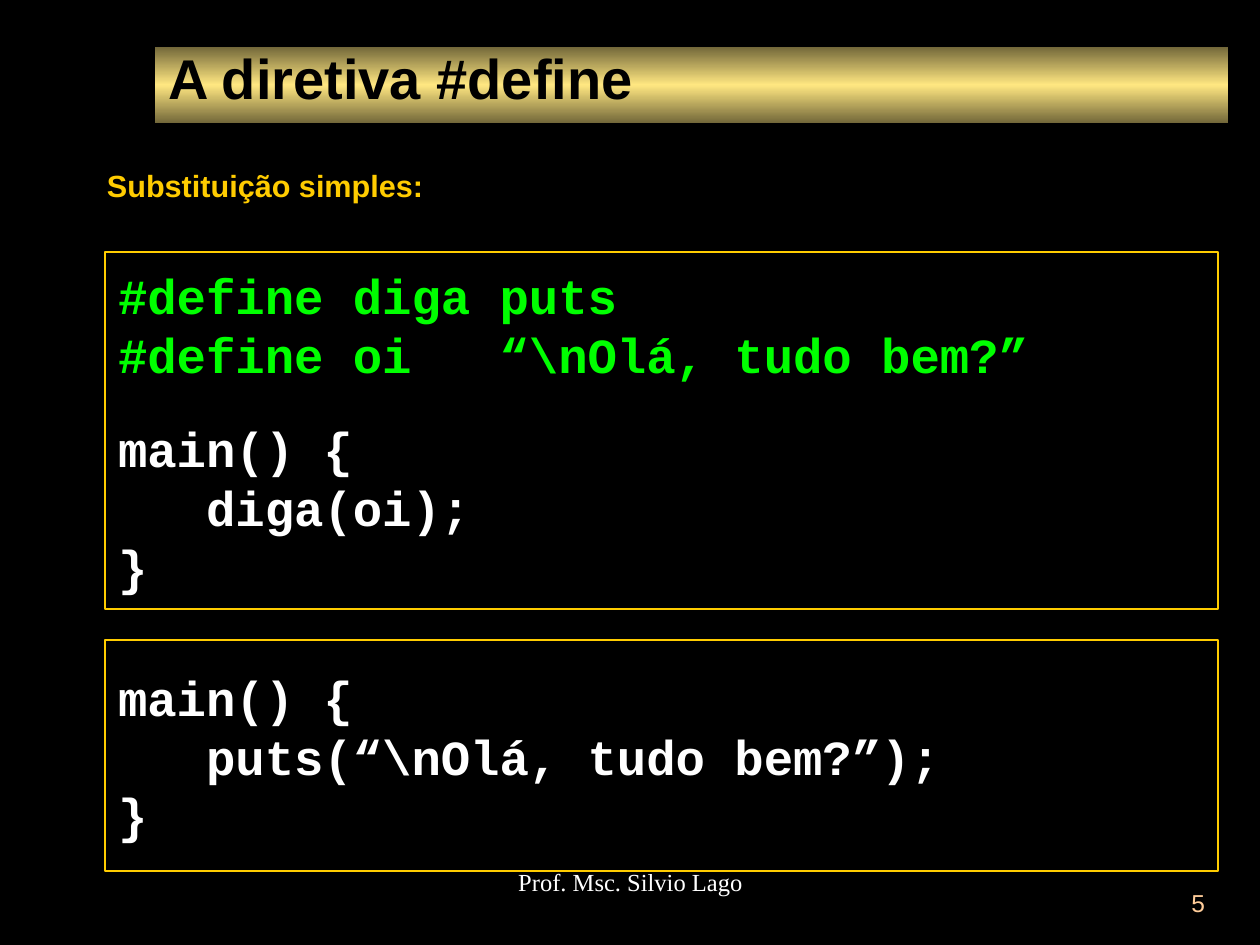
from copy import deepcopy

from pptx import Presentation
from pptx.dml.color import RGBColor
from pptx.enum.shapes import MSO_SHAPE
from pptx.enum.text import MSO_ANCHOR, MSO_AUTO_SIZE, PP_ALIGN
from pptx.util import Emu, Pt

RECTANGLE = MSO_SHAPE.RECTANGLE
TOP, MIDDLE = MSO_ANCHOR.TOP, MSO_ANCHOR.MIDDLE
NO_AUTOFIT = MSO_AUTO_SIZE.NONE
LEFT, CENTER, RIGHT = PP_ALIGN.LEFT, PP_ALIGN.CENTER, PP_ALIGN.RIGHT

BLACK = RGBColor(0x00, 0x00, 0x00)
WHITE = RGBColor(0xFF, 0xFF, 0xFF)
GREEN = RGBColor(0x00, 0xFF, 0x00)
AMBER = RGBColor(0xFF, 0xCC, 0x00)
PEACH = RGBColor(0xFF, 0xCC, 0x99)
BRONZE = RGBColor(0x73, 0x68, 0x3A)
GOLD = RGBColor(0xFF, 0xE7, 0x81)

PX_PER_INCH = 126


def px(length):
    """Turn whole pixels into EMU."""
    return Emu(round(length * 914400 / PX_PER_INCH))


def set_frame(frame, anchor, insets=(13, 6, 13, 6)):
    """Prepare a text frame with wrapping, an anchor and insets in px."""
    frame.word_wrap = True
    frame.auto_size = NO_AUTOFIT
    frame.vertical_anchor = anchor
    (frame.margin_left, frame.margin_top,
     frame.margin_right, frame.margin_bottom) = map(px, insets)


def write(paragraph, text, size, font, color, bold=False, align=LEFT, spacing=1.0):
    """Write one formatted run into a paragraph."""
    paragraph.alignment = align
    paragraph.line_spacing = spacing
    run = paragraph.add_run()
    run.text = text
    run.font.size = Pt(size)
    run.font.name = font
    run.font.bold = bold
    run.font.color.rgb = color


def add_title(slide, box, text):
    """Place the title on a bar that shines along its middle."""
    title = slide.shapes.title
    title.left, title.top, title.width, title.height = map(px, box)
    title.fill.gradient()
    title.fill.gradient_angle = 90
    edge, shine = title.fill.gradient_stops
    edge.color.rgb, edge.position = BRONZE, 0
    shine.color.rgb, shine.position = GOLD, 0.5
    stops = title.fill._fill._gradFill.gsLst
    far_edge = deepcopy(stops[0])
    far_edge.set("pos", "100000")
    stops.append(far_edge)
    set_frame(title.text_frame, MIDDLE, (13, 0, 13, 16))
    write(title.text_frame.paragraphs[0], text, 32, "Arial", BLACK, bold=True)


def add_label(slide, box, text, size, font, color, **style):
    """Place a single line of text."""
    frame = slide.shapes.add_textbox(*map(px, box)).text_frame
    set_frame(frame, TOP)
    write(frame.paragraphs[0], text, size, font, color, **style)


def add_code(slide, box, lines):
    """Place an outlined listing of (text, colour, line spacing) lines."""
    listing = slide.shapes.add_shape(RECTANGLE, *map(px, box))
    listing.shadow.inherit = False
    listing.fill.background()
    listing.line.color.rgb = AMBER
    listing.line.width = Pt(0.75)
    frame = listing.text_frame
    set_frame(frame, MIDDLE)
    for index, (text, color, spacing) in enumerate(lines):
        paragraph = frame.add_paragraph() if index else frame.paragraphs[0]
        write(paragraph, text, 28, "Courier New", color, bold=True, spacing=spacing)


def main():
    """Build the slide and save it."""
    deck = Presentation()
    deck.slide_width, deck.slide_height = px(1260), px(945)
    slide = deck.slides.add_slide(deck.slide_layouts[5])
    slide.background.fill.solid()
    slide.background.fill.fore_color.rgb = BLACK

    add_title(slide, (155, 47, 1073, 76), "A diretiva #define")
    add_label(slide, (94, 168, 1081, 53), "Substituição simples:",
              17.5, "Arial", AMBER, bold=True, spacing=0.8)
    add_code(slide, (105, 252, 1113, 357), [
        ("#define diga puts", GREEN, 1.0),
        ("#define oi   “\\nOlá, tudo bem?”", GREEN, 1.0),
        ("main() {", WHITE, 1.6),
        ("   diga(oi);", WHITE, 1.0),
        ("}", WHITE, 1.0),
    ])
    add_code(slide, (105, 640, 1113, 231), [
        ("main() {", WHITE, 1.0),
        ("   puts(“\\nOlá, tudo bem?”);", WHITE, 1.0),
        ("}", WHITE, 1.0),
    ])
    add_label(slide, (431, 861, 399, 63), "Prof. Msc. Silvio Lago",
              14, "Times New Roman", WHITE, align=CENTER)
    add_label(slide, (955, 882, 263, 63), "5", 14, "Arial", PEACH, align=RIGHT)

    deck.save("out.pptx")


if __name__ == "__main__":
    main()
